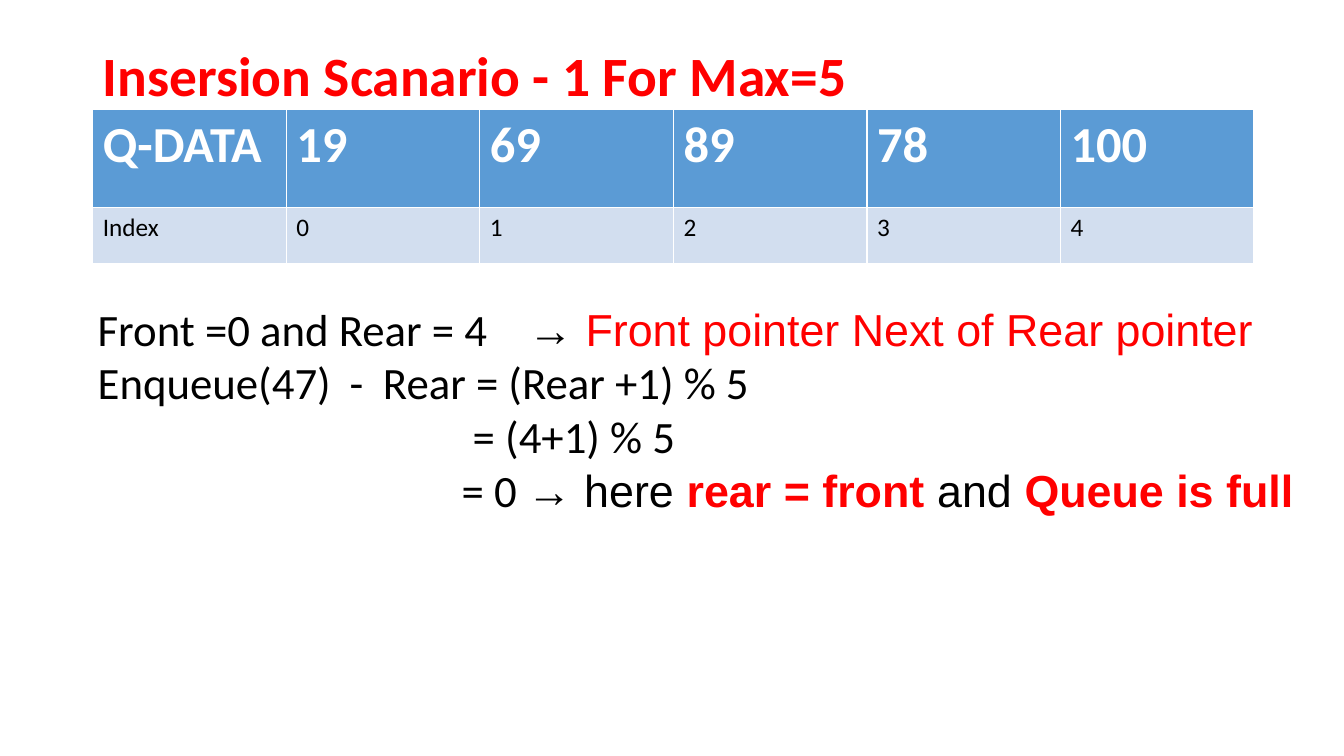
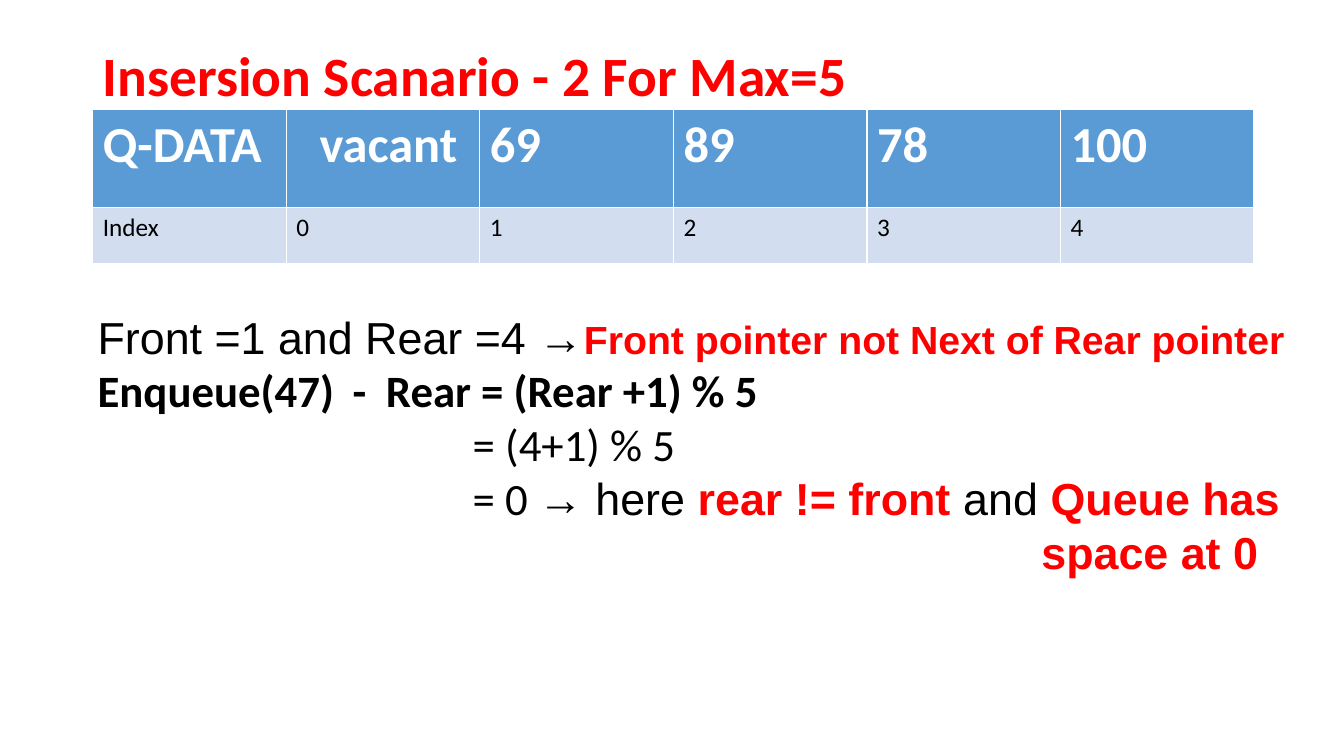
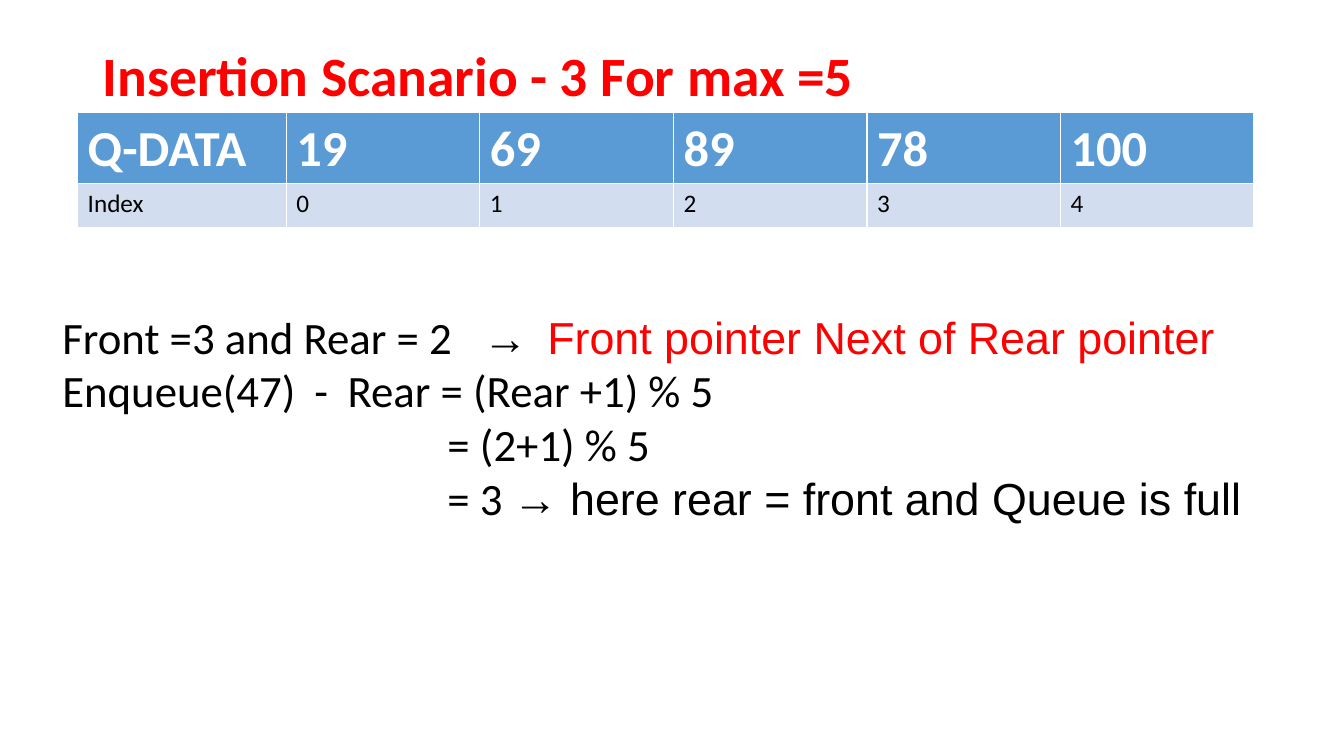
from typing import NamedTuple

from lxml import etree
from pptx import Presentation
from pptx.dml.color import RGBColor
from pptx.enum.text import MSO_ANCHOR
from pptx.oxml.ns import qn
from pptx.util import Inches, Pt

MIDDLE = MSO_ANCHOR.MIDDLE

RED = RGBColor(0xFF, 0x00, 0x00)
BLACK = RGBColor(0x00, 0x00, 0x00)
WHITE = RGBColor(0xFF, 0xFF, 0xFF)
HEADER_BLUE = RGBColor(0x5B, 0x9B, 0xD5)
PALE_BLUE = RGBColor(0xD2, 0xDE, 0xEF)

COLUMN_WIDTH = 1.92


class TextStyle(NamedTuple):
    font: str = "Calibri"
    size: float = 32
    color: RGBColor = BLACK
    bold: bool = False


class Line(NamedTuple):
    """One paragraph: (text, style) spans, left indent and tab stops in inches."""
    spans: list
    indent: float = 0
    tabs: tuple = ()


TITLE = TextStyle(size=39.6, color=RED, bold=True)
HEADER = TextStyle(size=36, color=WHITE, bold=True)
INDEX = TextStyle(size=18)
BODY = TextStyle()
BODY_BOLD = TextStyle(bold=True)
PLAIN = TextStyle(font="Arial")
RED_PLAIN = TextStyle(font="Arial", color=RED)
RED_BOLD = TextStyle(font="Arial", color=RED, bold=True)
RED_BOLD_SMALL = TextStyle(font="Arial", size=28, color=RED, bold=True)


class Deck:
    def __init__(self):
        self.presentation = Presentation()
        self.presentation.slide_width = Inches(13.33)
        self.presentation.slide_height = Inches(7.5)
        self.slide = None

    def new_slide(self, title):
        layout = self.presentation.slide_layouts[6]
        self.slide = self.presentation.slides.add_slide(layout)
        text_frame = self.text_box(0.92, 0.4, 11.5, 0.75, [Line([(title, TITLE)])])
        text_frame.vertical_anchor = MIDDLE
        text_frame.paragraphs[0].line_spacing = 0.9

    def text_box(self, left, top, width, height, lines):
        shape = self.slide.shapes.add_textbox(
            Inches(left), Inches(top), Inches(width), Inches(height))
        text_frame = shape.text_frame
        text_frame.word_wrap = True
        for number, line in enumerate(lines):
            paragraph = text_frame.add_paragraph() if number else text_frame.paragraphs[0]
            self.fill_paragraph(paragraph, line)
        return text_frame

    def fill_paragraph(self, paragraph, line):
        for text, style in line.spans:
            run = paragraph.add_run()
            run.text = text
            run.font.name = style.font
            run.font.size = Pt(style.size)
            run.font.bold = style.bold
            run.font.color.rgb = style.color
        properties = paragraph._p.get_or_add_pPr()
        if line.indent:
            properties.set("marL", str(Inches(line.indent)))
        if line.tabs:
            tab_list = etree.SubElement(properties, qn("a:tabLst"))
            for position in line.tabs:
                etree.SubElement(tab_list, qn("a:tab"), pos=str(Inches(position)), algn="l")

    def queue_table(self, left, top, first_width, row_heights, values, indents=None):
        indents = indents or {}
        rows = [(["Q-DATA", *values], HEADER, HEADER_BLUE),
                (["Index", *map(str, range(len(values)))], INDEX, PALE_BLUE)]
        widths = [first_width] + [COLUMN_WIDTH] * len(values)
        table = self.slide.shapes.add_table(
            len(rows), len(widths), Inches(left), Inches(top),
            Inches(sum(widths)), Inches(sum(row_heights))).table
        for column, width in zip(table.columns, widths):
            column.width = Inches(width)
        for row, height, (texts, style, color) in zip(table.rows, row_heights, rows):
            row.height = Inches(height)
            for cell, text in zip(row.cells, texts):
                cell.fill.solid()
                cell.fill.fore_color.rgb = color
                line = Line([(text, style)], indents.get(text, 0))
                self.fill_paragraph(cell.text_frame.paragraphs[0], line)


def enqueue_line(style, tabs):
    return Line([("Enqueue(47)\t-\tRear = (Rear +1) % 5", style)], tabs=tabs)


def main():
    deck = Deck()
    full_queue = ["19", "69", "89", "78", "100"]
    tall_rows, short_rows = (0.97, 0.56), (0.7, 0.44)
    body_tabs, bold_tabs = (2.5, 2.83), (2.53, 2.86)

    # Scenario 1: full queue, front at 0
    deck.new_slide("Insersion Scanario - 1 For Max=5")
    deck.queue_table(0.92, 1.09, COLUMN_WIDTH, tall_rows, full_queue)
    deck.text_box(0.87, 2.94, 12.08, 4.42, [
        Line([("Front =0 and Rear = 4\t", BODY), ("→ ", PLAIN),
              ("Front pointer Next of Rear pointer", RED_PLAIN)], tabs=(4.27,)),
        enqueue_line(BODY, body_tabs),
        Line([("= (4+1) % 5", BODY)], 3.72),
        Line([("= 0 ", BODY), ("→ here ", PLAIN), ("rear = front", RED_BOLD),
              (" and ", PLAIN), ("Queue is full", RED_BOLD)], 3.61),
    ])

    # Scenario 2: position 0 is vacant
    deck.new_slide("Insersion Scanario - 2 For Max=5")
    deck.queue_table(0.92, 1.09, COLUMN_WIDTH, tall_rows,
                     ["vacant", *full_queue[1:]], {"vacant": 0.23})
    deck.text_box(0.87, 3.02, 12.08, 4.34, [
        Line([("Front =1 and Rear =4 →", PLAIN),
              ("Front pointer not Next of Rear pointer", RED_BOLD_SMALL)]),
        enqueue_line(BODY_BOLD, bold_tabs),
        Line([("= (4+1) % 5", BODY)], 3.72),
        Line([("= 0 ", BODY), ("→ here ", PLAIN), ("rear != front", RED_BOLD),
              (" and ", PLAIN), ("Queue has", RED_BOLD)], 3.72),
        Line([("space at 0", RED_BOLD)], 9.36),
    ])

    # Scenario 3: full queue, front at 3
    deck.new_slide("Insertion Scanario - 3 For max =5")
    deck.queue_table(0.77, 1.12, 2.07, short_rows, full_queue)
    deck.text_box(0.52, 3.02, 12.44, 4.19, [
        Line([("Front =3 and Rear = 2\t", BODY), ("→\t", PLAIN),
              ("Front pointer Next of Rear pointer", RED_PLAIN)], tabs=(4.17, 4.81)),
        enqueue_line(BODY, body_tabs),
        Line([("= (2+1) % 5", BODY)], 3.82),
        Line([("= 3 ", BODY), ("→ here rear = front and Queue is full", PLAIN)], 3.82),
    ])

    deck.presentation.save("out.pptx")


if __name__ == "__main__":
    main()
